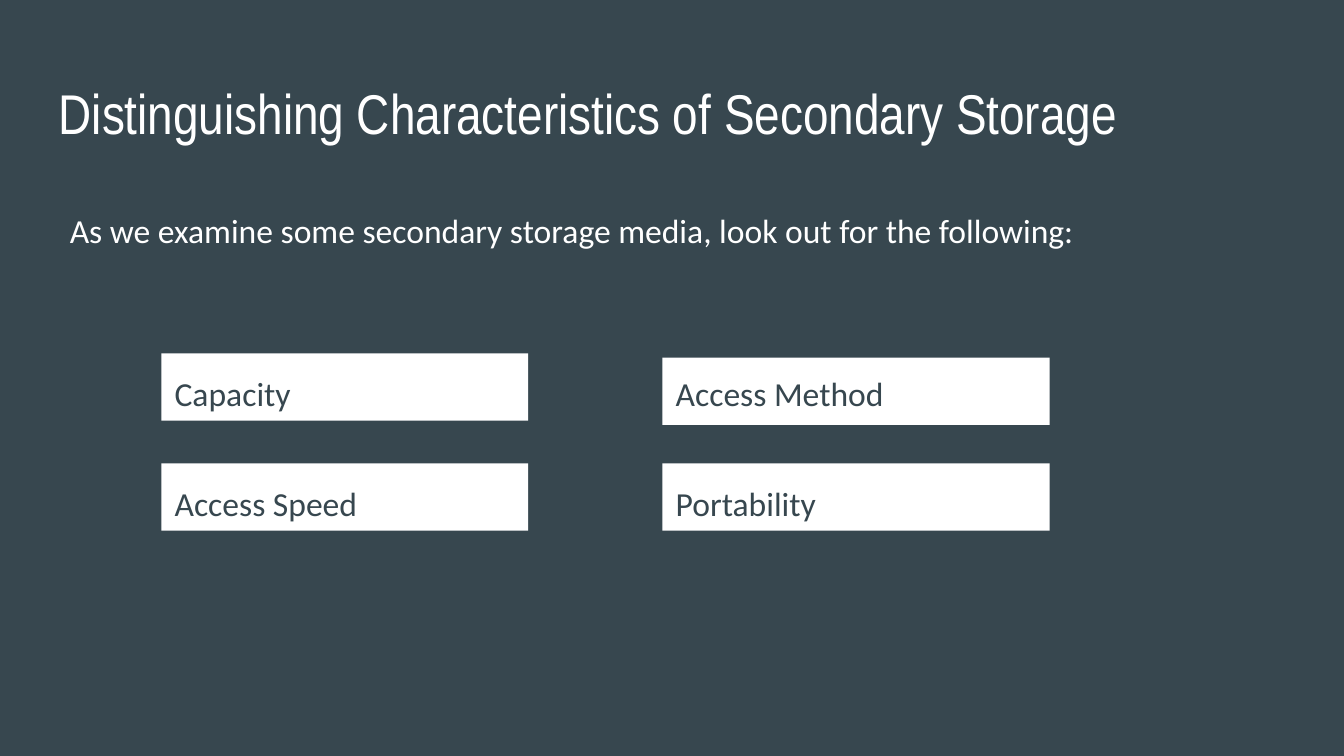
from pptx import Presentation
from pptx.dml.color import RGBColor
from pptx.enum.text import MSO_ANCHOR, MSO_AUTO_SIZE, PP_ALIGN
from pptx.oxml.ns import qn
from pptx.util import Cm, Pt

TOP = MSO_ANCHOR.TOP
NO_FIT = MSO_AUTO_SIZE.NONE
LEFT = PP_ALIGN.LEFT
COMPARISON = 4  # template layout with a title and four body placeholders

SLATE, WHITE = "37474F", "FFFFFF"


def color(value):
    return RGBColor.from_string(value)


class Deck:
    heading = {"name": "Arial Narrow", "size": Pt(30), "bold": False}
    body = {"name": "Calibri", "size": Pt(18), "bold": False}
    frame = {"word_wrap": True, "auto_size": NO_FIT, "vertical_anchor": TOP,
             "margin_left": Cm(0.25), "margin_right": Cm(0.25),
             "margin_top": Cm(0.25), "margin_bottom": Cm(0.25)}

    def __init__(self, prs):
        self.s = prs.slides.add_slide(prs.slide_layouts[COMPARISON])
        fill = self.s.background.fill
        fill.solid()
        fill.fore_color.rgb = color(SLATE)

    def place(self, sp, box):
        sp.left, sp.top, sp.width, sp.height = [Cm(v) for v in box]

    def add_text(self, sp, text, font, ink, spacing=1.0, **frame):
        tf = sp.text_frame
        for name, value in {**self.frame, **frame}.items():
            setattr(tf, name, value)
        p = tf.paragraphs[0]
        paragraph = {"alignment": LEFT, "line_spacing": spacing,
                     "space_before": Pt(0)}
        for name, value in paragraph.items():
            setattr(p, name, value)
        r = p.add_run()
        r.text = text
        for name, value in font.items():
            setattr(r.font, name, value)
        r.font.color.rgb = color(ink)
        return p

    def title(self, text, box):
        sp = self.s.shapes.title
        self.place(sp, box)
        self.add_text(sp, text, self.heading, WHITE)

    def intro(self, text, box):
        sp = self.s.shapes.add_textbox(*[Cm(v) for v in box])
        self.add_text(sp, text, self.body, WHITE)

    def card(self, idx, text, box, **frame):
        sp = self.s.placeholders[idx]
        self.place(sp, box)
        sp.fill.solid()
        sp.fill.fore_color.rgb = color(WHITE)
        p = self.add_text(sp, text, self.body, SLATE, spacing=1.15, **frame)
        # Plain paragraph: no bullet or hanging indent
        pPr = p._p.get_or_add_pPr()
        pPr.set("marL", "0")
        pPr.set("indent", "0")
        pPr.append(pPr.makeelement(qn("a:buNone"), {}))


def main():
    prs = Presentation()
    prs.slide_width, prs.slide_height = Cm(25.4), Cm(14.29)
    deck = Deck(prs)

    # Heading and lead-in
    deck.title("Distinguishing Characteristics of Secondary Storage",
               (0.86, 1.24, 23.67, 1.6))
    deck.intro("As we examine some secondary storage media, "
               "look out for the following:", (1.07, 3.71, 20.73, 1.27))

    # Characteristics in a two by two grid
    columns = [(3.05, 6.93), (12.52, 7.32)]
    rows = [6.68, 8.76]
    names = [["Capacity", "Access Speed"], ["Access Method", "Portability"]]
    for c, (x, w) in enumerate(columns):
        for r, y in enumerate(rows):
            # The first card on the right sits a little lower, its text does not
            drop = 0.08 if (c, r) == (1, 0) else 0
            deck.card(1 + 2 * c + r, names[c][r], (x, y + drop, w, 1.27),
                      margin_top=Cm(0.25 - drop))

    prs.save("out.pptx")


if __name__ == "__main__":
    main()
